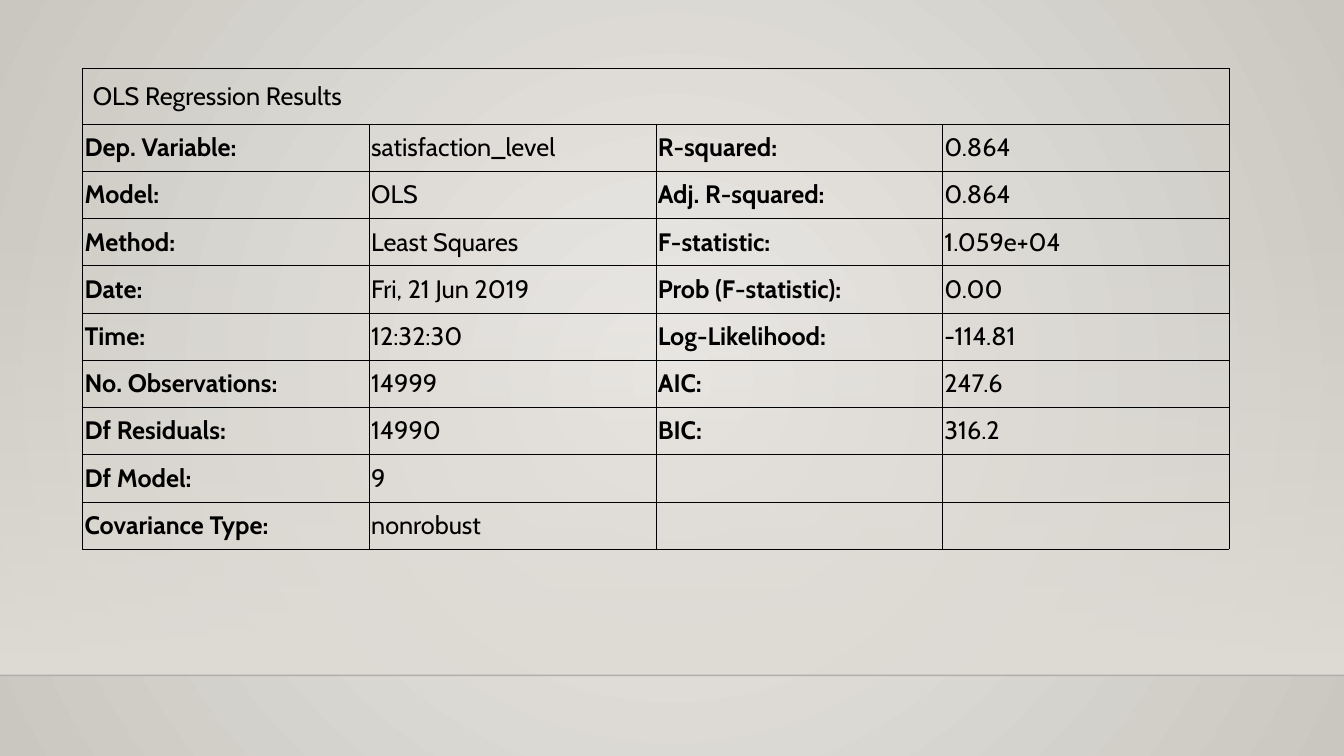
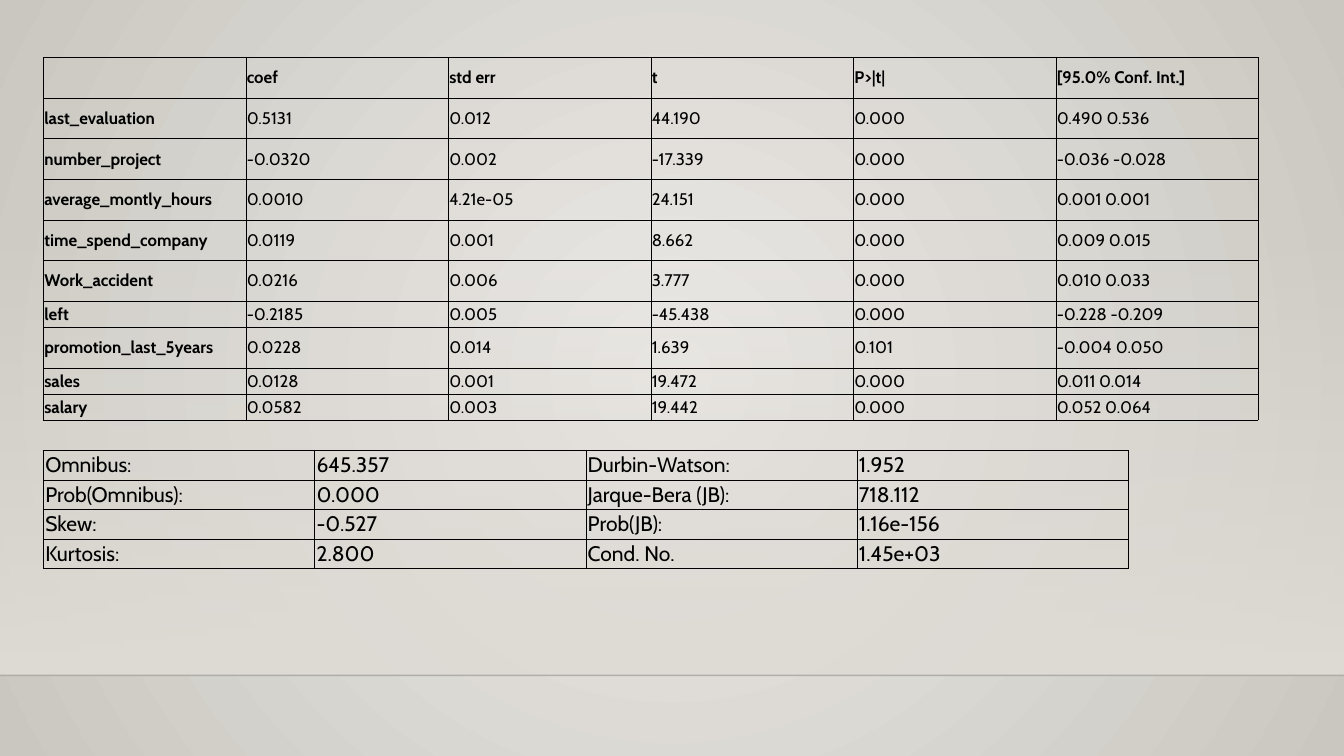
from lxml import etree
from pptx import Presentation
from pptx import util as u
from pptx.dml.color import RGBColor
from pptx.enum import shapes, text
from pptx.oxml import ns

COLORS = {
    "centre": "ECEAE7",
    "edge": "CAC7C1",
    "band": "DFDBD5",
    "rule": "000001",
    "ink": "000000",
}
FONT = "Cabin"
WIDTH, HEIGHT, FLOOR = 13.33, 7.5, 6.7
BAND_TOP = 2.21
BORDER = 0.38

SUMMARY = [
    ["OLS Regression Results", "", "", ""],
    ["Dep. Variable:", "satisfaction_level", "R-squared:", "0.864"],
    ["Model:", "OLS", "Adj. R-squared:", "0.864"],
    ["Method:", "Least Squares", "F-statistic:", "1.059e+04"],
    ["Date:", "Fri, 21 Jun 2019", "Prob (F-statistic):", "0.00"],
    ["Time:", "12:32:30", "Log-Likelihood:", "-114.81"],
    ["No. Observations:", "14999", "AIC:", "247.6"],
    ["Df Residuals:", "14990", "BIC:", "316.2"],
    ["Df Model:", "9", "", ""],
    ["Covariance Type:", "nonrobust", "", ""],
]
COEFFICIENTS = [
    ["", "coef", "std err", "t", "P>|t|", "[95.0% Conf. Int.]"],
    ["last_evaluation", "0.5131", "0.012", "44.190", "0.000", "0.490 0.536"],
    ["number_project", "-0.0320", "0.002", "-17.339", "0.000", "-0.036 -0.028"],
    ["average_montly_hours", "0.0010", "4.21e-05", "24.151", "0.000", "0.001 0.001"],
    ["time_spend_company", "0.0119", "0.001", "8.662", "0.000", "0.009 0.015"],
    ["Work_accident", "0.0216", "0.006", "3.777", "0.000", "0.010 0.033"],
    ["left", "-0.2185", "0.005", "-45.438", "0.000", "-0.228 -0.209"],
    ["promotion_last_5years", "0.0228", "0.014", "1.639", "0.101", "-0.004 0.050"],
    ["sales", "0.0128", "0.001", "19.472", "0.000", "0.011 0.014"],
    ["salary", "0.0582", "0.003", "19.442", "0.000", "0.052 0.064"],
]
DIAGNOSTICS = [
    ["Omnibus:", "645.357", "Durbin-Watson:", "1.952"],
    ["Prob(Omnibus):", "0.000", "Jarque-Bera (JB):", "718.112"],
    ["Skew:", "-0.527", "Prob(JB):", "1.16e-156"],
    ["Kurtosis:", "2.800", "Cond. No.", "1.45e+03"],
]


def rgb(name):
    """Return the named colour."""
    return RGBColor.from_string(COLORS[name])


def add_child(parent, tag, **attributes):
    """Append a DrawingML element and return it."""
    child = etree.SubElement(parent, ns.qn(tag))
    for key, value in attributes.items():
        child.set(key, str(value))
    return child


def two_stop(fill, first, last):
    """Give a fill a gradient between two named colours."""
    fill.gradient()
    for stop, name, position in zip(fill.gradient_stops, (first, last), (0, 1)):
        stop.color.rgb = rgb(name)
        stop.position = position


def set_alpha(element, percent):
    """Set the opacity of the first colour inside an element."""
    color = next(element.iter(ns.qn("a:srgbClr")))
    add_child(color, "a:alpha", val=percent * 1000)


class Deck:
    """Holds the shared style and the current slide."""

    def __init__(self):
        """Start an empty widescreen deck."""
        self.deck = Presentation()
        self.deck.slide_width = u.Inches(WIDTH)
        self.deck.slide_height = u.Inches(HEIGHT)
        self.page = None

    def add_page(self):
        """Add a slide with its backdrop, band and floor line."""
        self.page = self.deck.slides.add_slide(self.deck.slide_layouts[6])
        self.backdrop()
        self.band()
        self.floor_line()

    def backdrop(self):
        """Paint the background as a circular gradient."""
        two_stop(self.page.background.fill, "centre", "edge")
        gradient = next(self.page.element.iter(ns.qn("a:gradFill")))
        gradient.remove(gradient.find(ns.qn("a:lin")))
        circle = add_child(gradient, "a:path", path="circle")
        add_child(circle, "a:fillToRect", l=50000, t=50000, r=50000, b=50000)

    def band(self):
        """Draw the band that fades in down to the floor line."""
        box = self.page.shapes.add_shape(
            shapes.MSO_SHAPE.RECTANGLE, 0, u.Inches(BAND_TOP),
            u.Inches(WIDTH), u.Inches(FLOOR - BAND_TOP))
        box.shadow.inherit = False
        box.line.fill.background()
        two_stop(box.fill, "band", "band")
        box.fill.gradient_angle = 270
        set_alpha(next(box.element.iter(ns.qn("a:gradFill"))), 0)

    def floor_line(self):
        """Draw the faint line below the band."""
        floor = u.Inches(FLOOR)
        line = self.page.shapes.add_connector(
            shapes.MSO_CONNECTOR.STRAIGHT, 0, floor, u.Inches(WIDTH), floor)
        line.line.color.rgb = rgb("rule")
        line.line.width = u.Pt(1)
        properties = line.element.spPr
        set_alpha(properties, 20)
        add_child(properties, "a:effectLst")

    def table(self, rows, at, size, inset, is_bold, fixed_heights=None):
        """Add a table; rows without a fixed height share what is left."""
        fixed = fixed_heights or {}
        left, top, width, height = at
        grid = self.page.shapes.add_table(
            len(rows), len(rows[0]), *(u.Inches(length) for length in at)).table
        grid.first_row = grid.horz_banding = False
        for column in grid.columns:
            column.width = u.Inches(width / len(rows[0]))
        shared = (height - sum(fixed.values())) / (len(rows) - len(fixed))
        for i, row in enumerate(rows):
            grid.rows[i].height = u.Inches(fixed.get(i, shared))
            for j, words in enumerate(row):
                self.cell(grid.cell(i, j), words, size, inset, is_bold(i, j))
        return grid

    def cell(self, cell, words, size, inset, bold):
        """Fill in one bordered, transparent cell."""
        cell.vertical_anchor = text.MSO_ANCHOR.MIDDLE
        cell.margin_left = cell.margin_right = u.Inches(inset)
        cell.margin_top = cell.margin_bottom = u.Inches(inset)
        properties = cell._tc.get_or_add_tcPr()
        for side in "LRTB":
            edge = add_child(properties, f"a:ln{side}", w=u.Pt(BORDER))
            add_child(add_child(edge, "a:solidFill"), "a:srgbClr", val=COLORS["ink"])
        cell.fill.background()
        cell.text_frame.text = words
        for span in cell.text_frame.paragraphs[0].runs:
            span.font.name = FONT
            span.font.size = u.Pt(size)
            span.font.bold = bold
            span.font.color.rgb = rgb("ink")


def summary_page(deck):
    """Build the regression summary slide."""
    deck.add_page()
    summary = deck.table(
        SUMMARY, (0.82, 0.68, 11.37, 4.77), 18, 0.02,
        lambda i, j: i > 0 and j % 2 == 0, {0: 0.55})
    title = summary.cell(0, 0)
    title.merge(summary.cell(0, 3))
    title.margin_left = u.Inches(0.1)


def coefficient_page(deck):
    """Build the slide with coefficients and diagnostics."""
    deck.add_page()
    short_rows = {6: 0.26, 8: 0.26, 9: 0.26}
    deck.table(
        COEFFICIENTS, (0.43, 0.57, 12.05, 3.6), 12, 0.01,
        lambda i, j: i == 0 or j == 0, short_rows)
    deck.table(
        DIAGNOSTICS, (0.43, 4.47, 10.76, 1.17), 15, 0.02, lambda i, j: False)


report = Deck()
summary_page(report)
coefficient_page(report)
report.deck.save("out.pptx")
